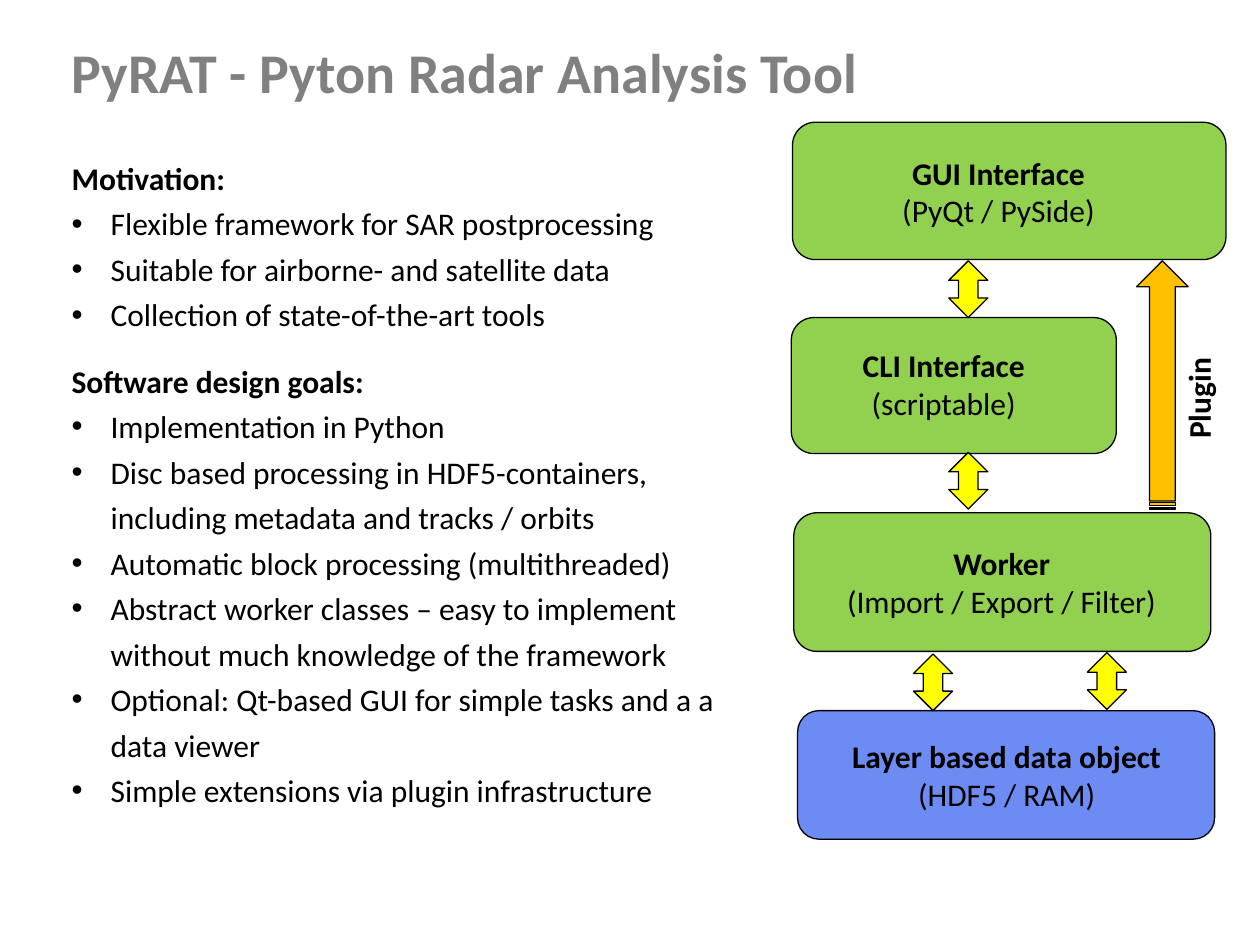
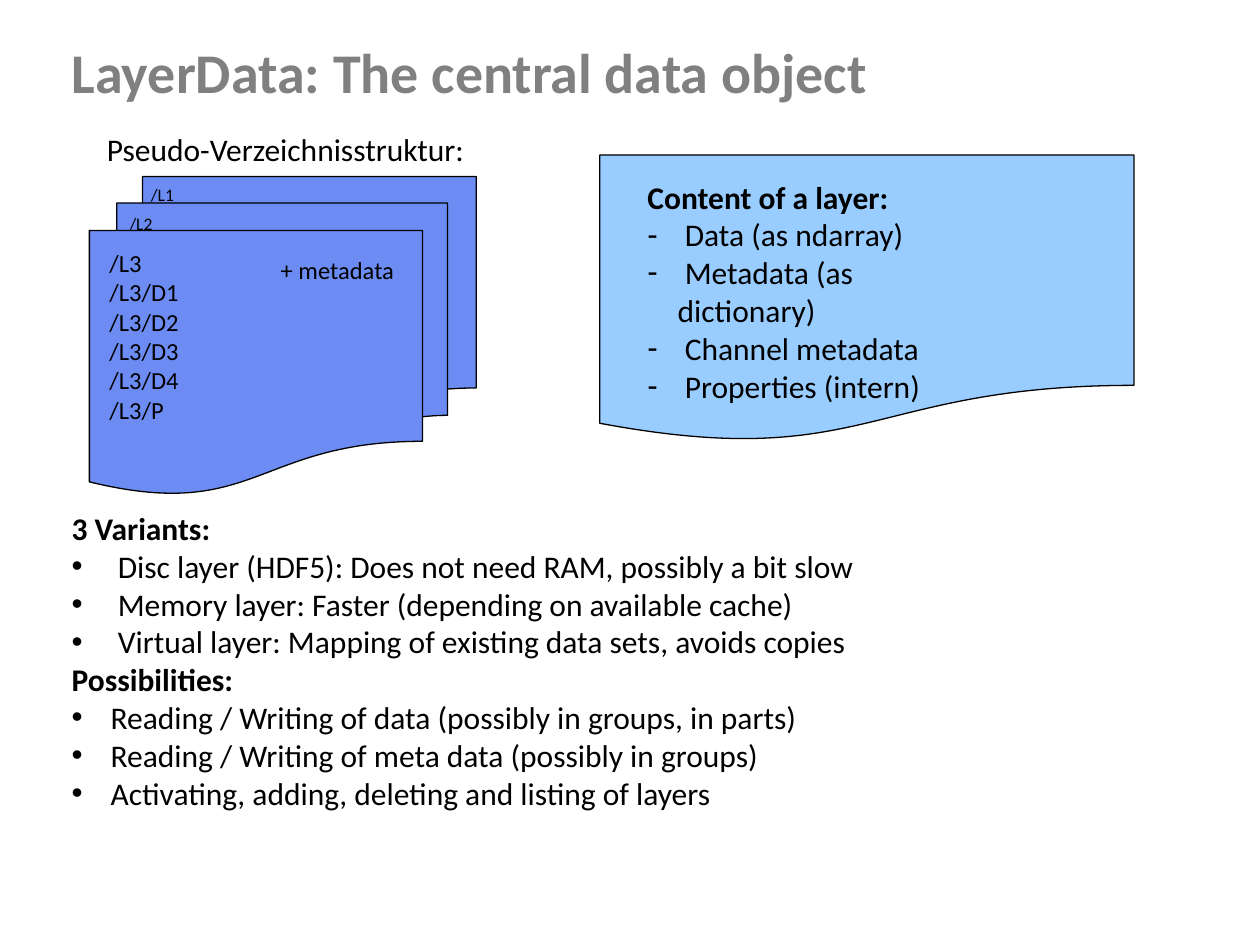
from lxml.etree import SubElement
from pptx import Presentation
from pptx.dml.color import RGBColor
from pptx.enum.shapes import MSO_SHAPE as SHAPE
from pptx.enum.text import PP_ALIGN as ALIGN
from pptx.oxml.ns import qn
from pptx.util import Inches, Pt

FONT = "Calibri"
BLACK, GREY, GREEN, BLUE = "000000", "808080", "92D050", "6C8CF4"
SKY, YELLOW, ORANGE = "99CCFF", "FFFF00", "FFC000"
LEADING = Pt(26)
colour = RGBColor.from_string

deck = Presentation()
deck.slide_width, deck.slide_height = Inches(10), Inches(7.5)
CELL = deck.slide_width / 100  # the grid has 100 columns and 75 rows
MARGIN = 4.7


def add_figure(page, kind, left, top, width, height, fill):
    """Add a filled preset shape with a thin black outline, in grid cells."""
    figure = page.shapes.add_shape(kind, *(round(n * CELL) for n in (left, top, width, height)))
    figure.shadow.inherit = False
    figure.fill.solid()
    figure.fill.fore_color.rgb = colour(fill)
    figure.line.color.rgb = colour(BLACK)
    figure.line.width = Pt(0.75)
    return figure


def add_text(page, left, top, width, height, lines, size=18, ink=BLACK,
             leading=None, align=None, indent=3.1):
    """Add (mark, text) lines: "head" is bold up to a line break, "" is plain,
    any other mark is the bullet."""
    box = page.shapes.add_textbox(*(round(n * CELL) for n in (left, top, width, height)))
    frame = box.text_frame
    frame.word_wrap = True
    for number, (mark, text) in enumerate(lines):
        para = frame.add_paragraph() if number else frame.paragraphs[0]
        para.line_spacing = leading
        para.alignment = align
        if mark not in ("head", ""):
            properties = para._p.get_or_add_pPr()
            properties.set("marL", str(round(indent * CELL)))
            properties.set("indent", str(round(-indent * CELL)))
            SubElement(properties, qn("a:buFont")).set("typeface", "Arial")
            SubElement(properties, qn("a:buChar")).set("char", mark)
        for part, words in enumerate(text.split("\n")):
            if part:
                para.add_line_break()
            span = para.add_run()
            span.text = words
            span.font.name, span.font.size = FONT, Pt(size)
            span.font.bold = mark == "head" and part == 0
            span.font.color.rgb = colour(ink)
    return box


pages = []
for title in ("PyRAT - Pyton Radar Analysis Tool", "LayerData: The central data object"):
    page = deck.slides.add_slide(deck.slide_layouts[6])
    add_text(page, MARGIN, 4.2, 89.8, 4.9, [("head", title)], 32, GREY, LEADING)
    pages.append(page)
overview, layers = pages

# Overview: layered architecture on the right
LABEL_WIDTH, LABEL_HEIGHT = 30, 7.1
for left, top, width, height, fill, middle, label_top, label in (
    (62.9, 9.7, 34.4, 10.9, GREEN, 79.25, 11.7, "GUI Interface\n(PyQt / PySide)"),
    (62.8, 25.2, 25.8, 10.8, GREEN, 74.9, 27, "CLI Interface\n(scriptable)"),
    (63, 40.7, 33.1, 11, GREEN, 79.5, 42.7, "Worker\n(Import / Export / Filter)"),
    (63.3, 56.4, 33.1, 10.2, BLUE, 79.9, 58, "Layer based data object\n(HDF5 / RAM)"),
):
    add_figure(overview, SHAPE.ROUNDED_RECTANGLE, left, top, width, height, fill)
    add_text(overview, middle - LABEL_WIDTH / 2, label_top, LABEL_WIDTH, LABEL_HEIGHT,
             [("head", label)], align=ALIGN.CENTER)

for left, top in ((75.3, 20.7), (75.3, 35.9), (72.5, 51.9), (86.3, 51.8)):
    add_figure(overview, SHAPE.UP_DOWN_ARROW, left, top, 3.1, 4.5, YELLOW)

plugin_arrow = add_figure(overview, SHAPE.STRIPED_RIGHT_ARROW, 82.4, 28.5, 19.7, 4.1, ORANGE)
plugin_label = add_text(overview, 86.9, 29.4, 15.6, 4.4, [("head", "Plugin")],
                        leading=LEADING, align=ALIGN.CENTER)
plugin_arrow.rotation = plugin_label.rotation = 270

goals = add_text(overview, MARGIN, 11.5, 55.6, 53.7, [
    ("head", "Motivation:"),
    ("•", "Flexible framework for SAR postprocessing"),
    ("•", "Suitable for airborne- and satellite data"),
    ("•", "Collection of state-of-the-art tools"),
    ("head", "Software design goals:"),
    ("•", "Implementation in Python"),
    ("•", "Disc based processing in HDF5-containers, including metadata and tracks / orbits"),
    ("•", "Automatic block processing (multithreaded)"),
    ("•", "Abstract worker classes – easy to implement without much knowledge of the framework"),
    ("•", "Optional: Qt-based GUI for simple tasks and a a data viewer"),
    ("•", "Simple extensions via plugin infrastructure"),
], leading=LEADING)
goals.text_frame.paragraphs[4].space_before = Pt(12)

# Layers: content, variants and the stack of documents
add_figure(layers, SHAPE.FLOWCHART_DOCUMENT, 47.6, 12.3, 42.4, 22.8, SKY)
add_text(layers, 50.4, 13.6, 29.1, 19.2, [
    ("head", "Content of a layer:"),
    ("-", " Data (as ndarray)"),
    ("-", " Metadata (as dictionary)"),
    ("-", " Channel metadata"),
    ("-", " Properties (intern)"),
], indent=2.4)

add_text(layers, MARGIN, 39.9, 92.2, 31.3, [
    ("head", "3 Variants:"),
    ("•", " Disc layer (HDF5): Does not need RAM, possibly a bit slow"),
    ("•", " Memory layer: Faster (depending on available cache)"),
    ("•", " Virtual layer: Mapping of existing data sets, avoids copies"),
    ("head", "Possibilities:"),
    ("•", "Reading / Writing of data (possibly in groups, in parts)"),
    ("•", "Reading / Writing of meta data (possibly in groups)"),
    ("•", "Activating, adding, deleting and listing of layers"),
])

add_figure(layers, SHAPE.FLOWCHART_MULTIDOCUMENT, 7.1, 14, 30.7, 25.2, BLUE)
for left, top, width, height, size, text in (
    (11, 12.2, 5, 4.7, 10, "/L1"),
    (9.3, 14.5, 5, 4.7, 10, "/L2"),
    (21.3, 18.5, 12, 4.3, 14, "+ metadata"),
    (7.5, 9.2, 32, 4.4, 18, "Pseudo-Verzeichnisstruktur:"),
):
    add_text(layers, left, top, width, height, [("", text)], size, leading=LEADING)

entries = [("", "/L3" + ending) for ending in ("", "/D1", "/D2", "/D3", "/D4", "/P")]
listing = add_text(layers, 7.7, 17.9, 9, 16.4, entries, 14)
listing.text_frame.paragraphs[0].line_spacing = LEADING

deck.save("out.pptx")
